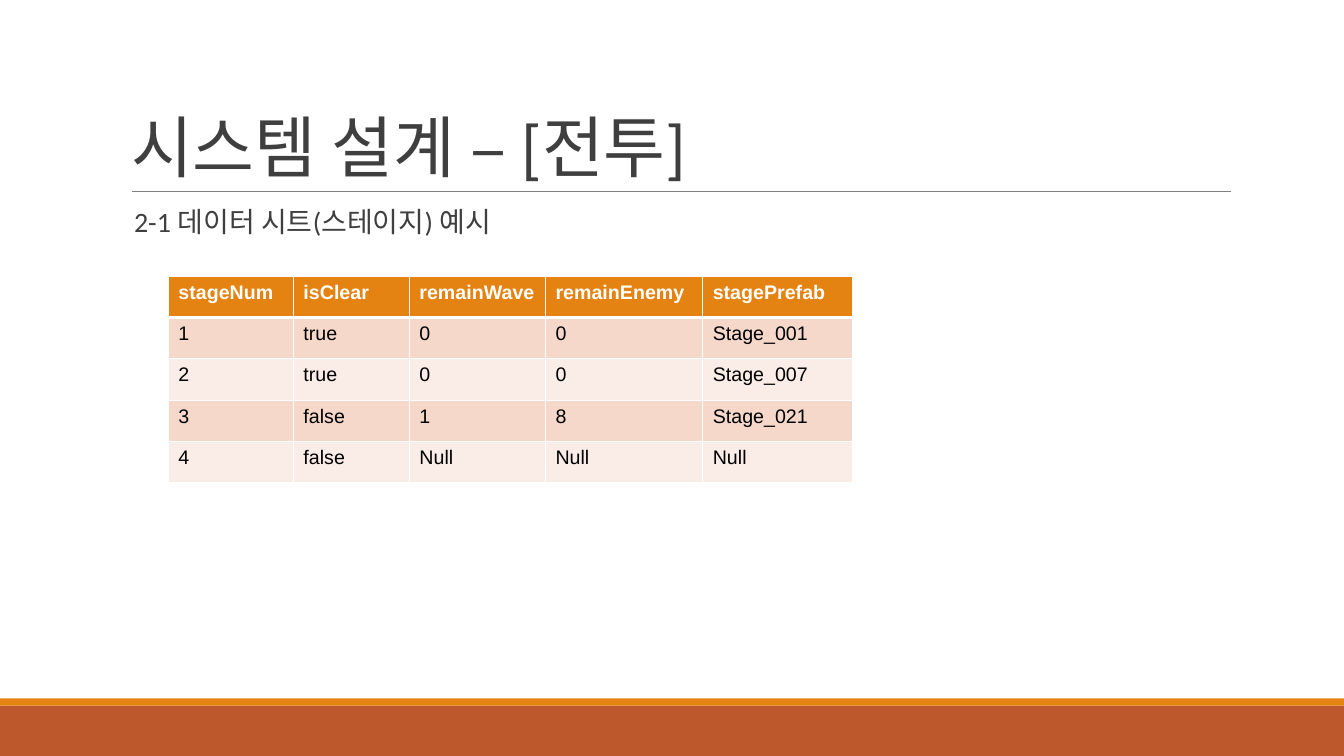
import pptx
import pptx.dml.color
import pptx.enum.shapes
import pptx.enum.text
import pptx.oxml
import pptx.oxml.ns
import pptx.util
from pptx.dml.color import RGBColor
from pptx.util import Inches

ORANGE = RGBColor(0xE4, 0x83, 0x12)
RUST = RGBColor(0xBD, 0x58, 0x2C)
GREY = RGBColor(0x7F, 0x7F, 0x7F)
DARK = RGBColor(0x3F, 0x3F, 0x3F)
WHITE = RGBColor(0xFF, 0xFF, 0xFF)
BLACK = RGBColor(0, 0, 0)
BAND_COLOURS = (RGBColor(0xF5, 0xD8, 0xCA), RGBColor(0xFA, 0xEC, 0xE6))

SLIDE_WIDTH, SLIDE_HEIGHT = 13.33, 7.5
STAGE_COLUMNS = (1.24, 1.15, 1.35, 1.56, 1.49)
STAGE_ROW_HEIGHT = 0.41
STAGES = (
    ("stageNum", "isClear", "remainWave", "remainEnemy", "stagePrefab"),
    ("1", "true", "0", "0", "Stage_001"),
    ("2", "true", "0", "0", "Stage_007"),
    ("3", "false", "1", "8", "Stage_021"),
    ("4", "false", "Null", "Null", "Null"),
)


def apply_format(target, values):
    for name, value in values.items():
        setattr(target, name, value)


def write_line(frame, text, size, colour, font="Calibri", bold=False, spacing=1.0):
    """Fill a text frame with one left-aligned paragraph."""
    paragraph = frame.paragraphs[0]
    apply_format(paragraph, {"alignment": pptx.enum.text.PP_ALIGN.LEFT,
                             "line_spacing": spacing})
    run = paragraph.add_run()
    run.text = text
    apply_format(run.font, {"size": pptx.util.Pt(size), "name": font, "bold": bold})
    run.font.color.rgb = colour


def add_footer_bands(slide, top, bottom):
    thin = 0.07
    for band_top, height, colour in ((top + thin, bottom - top - thin, RUST),
                                     (top, thin, ORANGE)):
        band = slide.shapes.add_shape(
            pptx.enum.shapes.MSO_SHAPE.RECTANGLE, 0, Inches(band_top),
            Inches(SLIDE_WIDTH), Inches(height))
        band.shadow.inherit = False
        band.fill.solid()
        band.fill.fore_color.rgb = colour
        band.line.fill.background()


def add_heading(slide, left, top, width, height):
    """Place the title with a rule along its lower edge."""
    bottom = top + height
    rule = slide.shapes.add_connector(
        pptx.enum.shapes.MSO_CONNECTOR.STRAIGHT, Inches(left + 0.11), Inches(bottom),
        Inches(left + width + 0.01), Inches(bottom))
    rule.line.color.rgb = GREY
    rule.line.width = pptx.util.Pt(0.75)
    rule._element.spPr.append(pptx.oxml.parse_xml(
        f'<a:effectLst {pptx.oxml.ns.nsdecls("a")}/>'))

    title = slide.shapes.title
    apply_format(title, {"left": Inches(left), "top": Inches(top),
                         "width": Inches(width), "height": Inches(height)})
    apply_format(title.text_frame, {
        "vertical_anchor": pptx.enum.text.MSO_ANCHOR.BOTTOM,
        "auto_size": pptx.enum.text.MSO_AUTO_SIZE.NONE, "word_wrap": True})
    write_line(title.text_frame, "시스템 설계 – [전투]", 48, DARK, spacing=0.85)


def add_subtitle(slide, left, top, width, height):
    subtitle = slide.shapes.add_textbox(
        Inches(left), Inches(top), Inches(width), Inches(height))
    apply_format(subtitle.text_frame, {
        "margin_left": Inches(0.13), "margin_right": 0, "word_wrap": True})
    write_line(subtitle.text_frame, "2-1 데이터 시트(스테이지) 예시", 20, DARK, spacing=0.9)


def set_borders(cell, widths):
    """Draw white cell borders from a dict of side to points."""
    properties = cell._tc.get_or_add_tcPr()
    for position, (side, points) in enumerate(widths.items()):
        properties.insert(position, pptx.oxml.parse_xml(
            f'<a:{side} {pptx.oxml.ns.nsdecls("a")} w="{pptx.util.Pt(points)}">'
            f'<a:solidFill><a:srgbClr val="{WHITE}"/></a:solidFill></a:{side}>'))


def add_stage_table(slide, left, top):
    table = slide.shapes.add_table(
        len(STAGES), len(STAGE_COLUMNS), Inches(left), Inches(top),
        Inches(sum(STAGE_COLUMNS)), Inches(STAGE_ROW_HEIGHT * len(STAGES))).table
    for column, width in zip(table.columns, STAGE_COLUMNS):
        column.width = Inches(width)
    for row_index, stage in enumerate(STAGES):
        table.rows[row_index].height = Inches(STAGE_ROW_HEIGHT)
        header = row_index == 0
        fill = ORANGE if header else BAND_COLOURS[(row_index - 1) % 2]
        for column_index, value in enumerate(stage):
            cell = table.cell(row_index, column_index)
            cell.fill.solid()
            cell.fill.fore_color.rgb = fill
            set_borders(cell, {"lnL": 1, "lnR": 1, "lnT": 3 if row_index == 1 else 1,
                               "lnB": 3 if header else 1})
            write_line(cell.text_frame, value, 14, WHITE if header else BLACK,
                       font="Arial", bold=header)


def main():
    presentation = pptx.Presentation()
    apply_format(presentation, {"slide_width": Inches(SLIDE_WIDTH),
                                "slide_height": Inches(SLIDE_HEIGHT)})
    slide = presentation.slides.add_slide(presentation.slide_layouts[5])
    add_footer_bands(slide, 6.93, SLIDE_HEIGHT)
    add_heading(slide, 1.2, 0.31, 11, 1.59)
    add_subtitle(slide, 1.2, 2.02, 11, 0.5)
    add_stage_table(slide, 1.67, 2.74)
    presentation.save("out.pptx")


if __name__ == "__main__":
    main()
